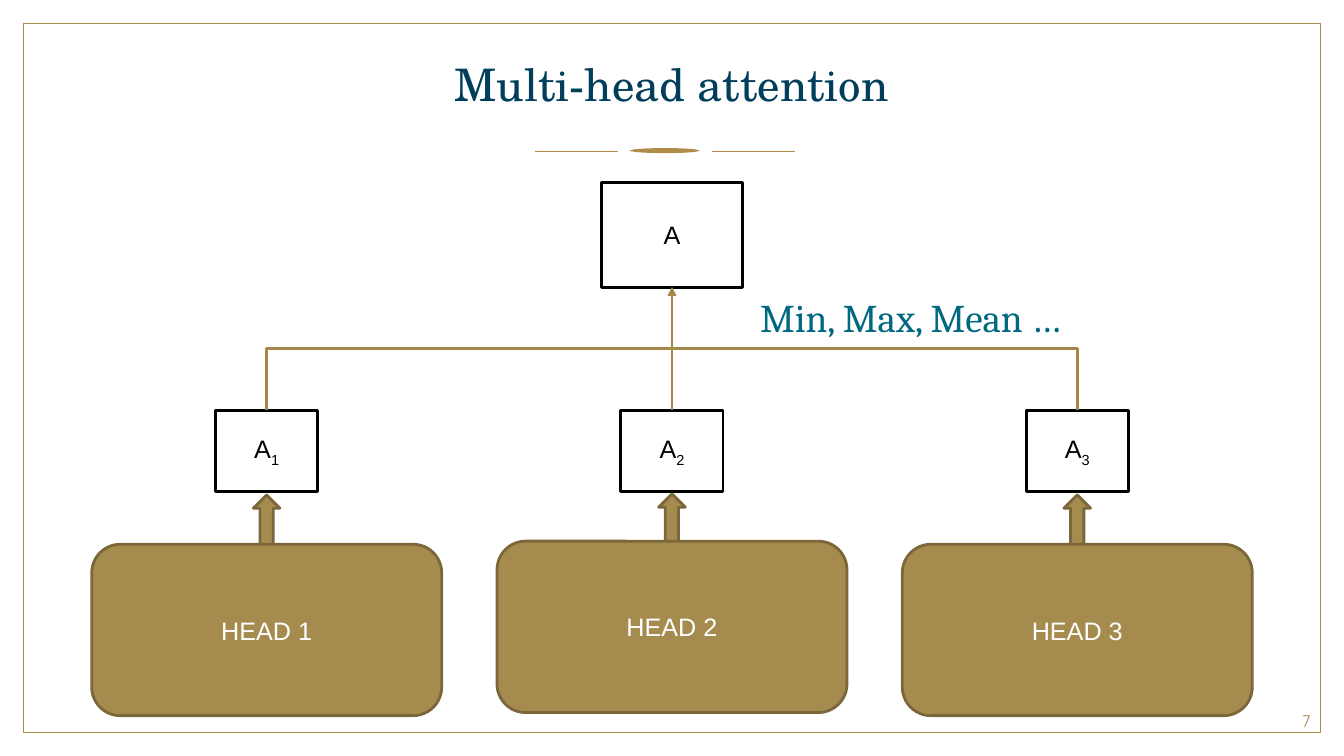
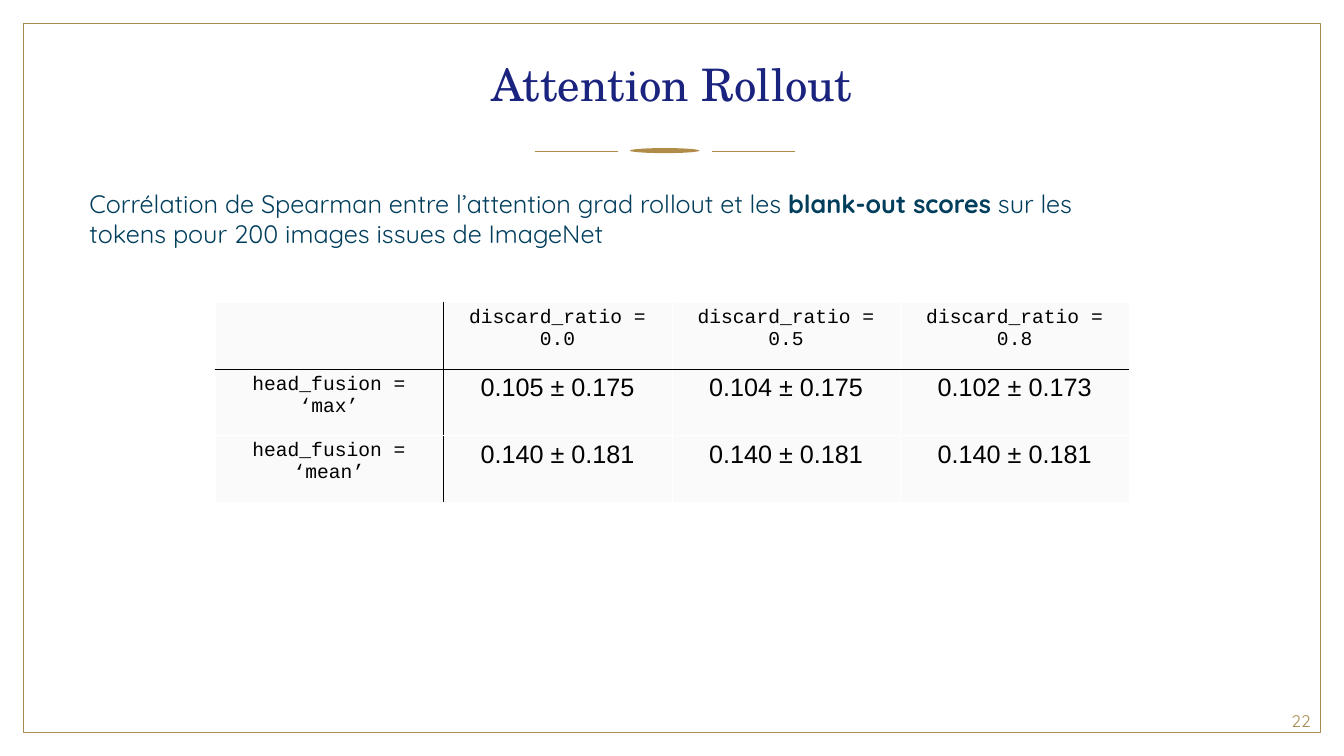
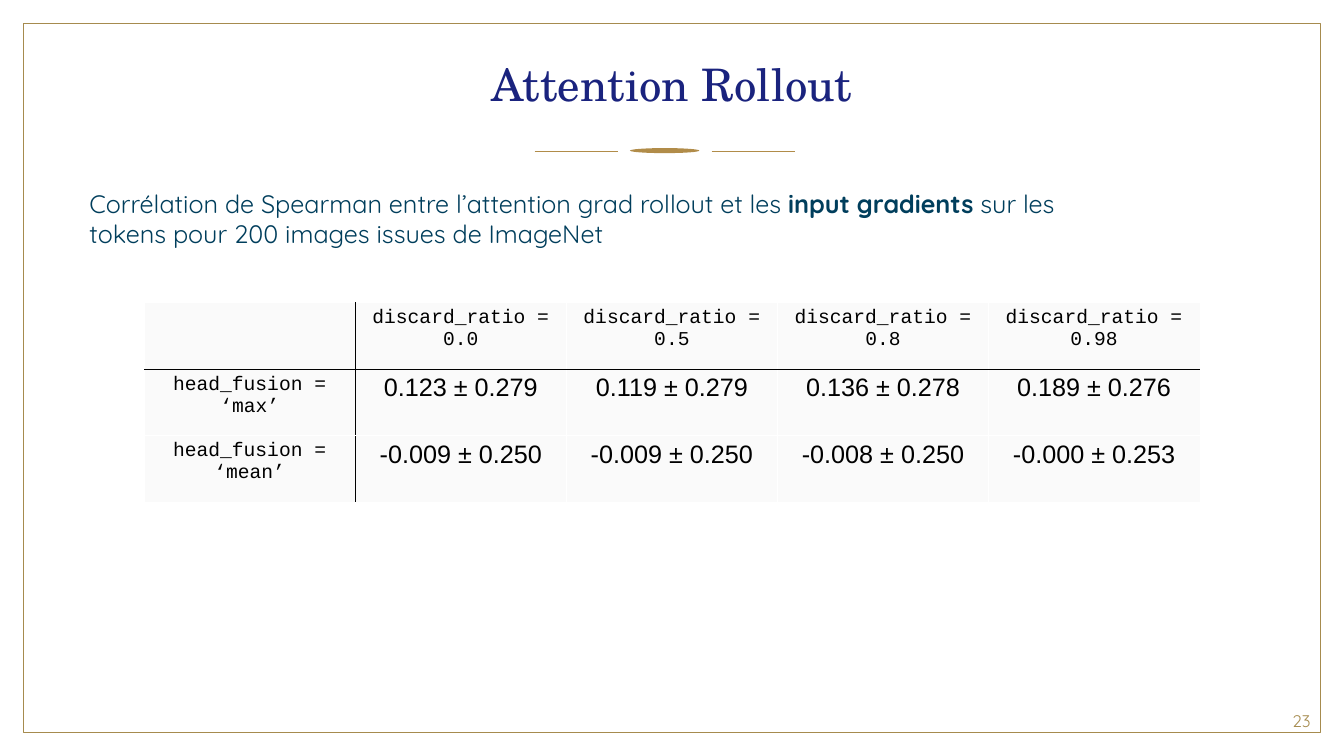
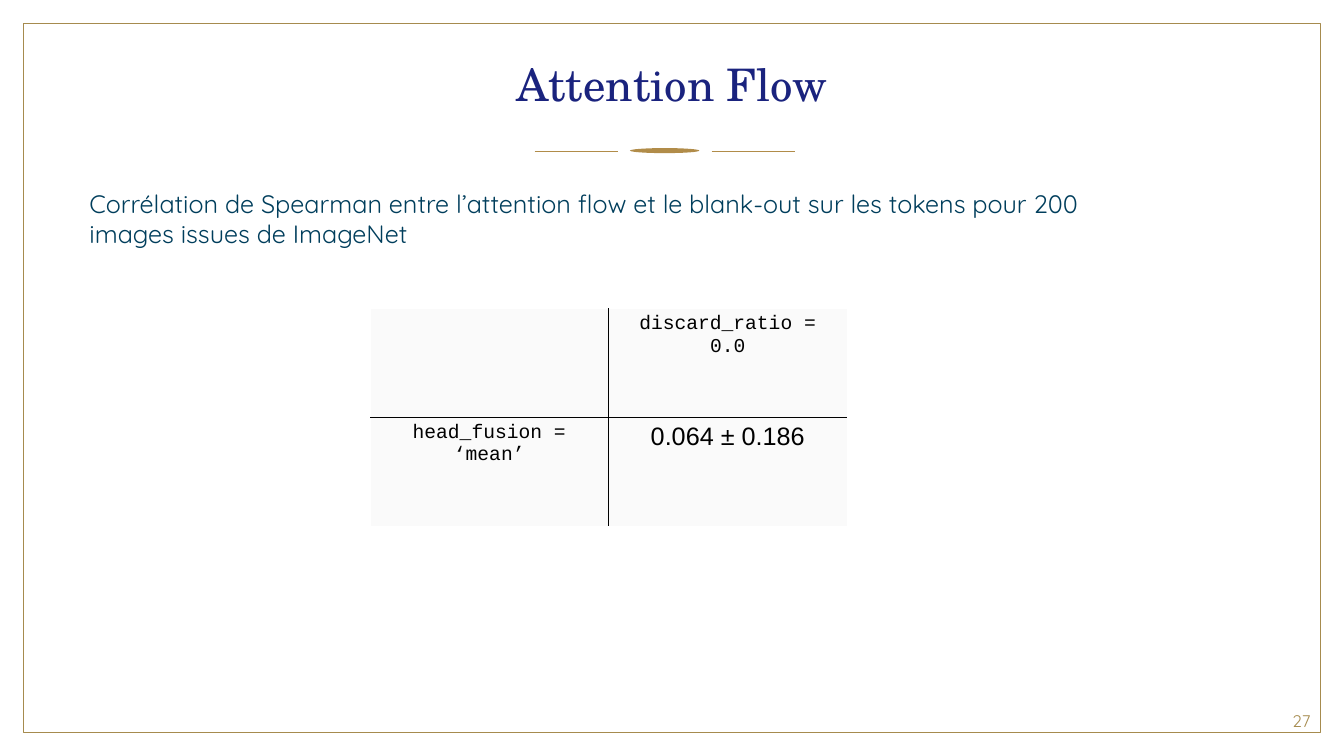
from dataclasses import dataclass
from typing import Optional

from lxml.etree import SubElement
from pptx import Presentation
from pptx.dml.color import RGBColor
from pptx.enum.shapes import MSO_CONNECTOR, MSO_SHAPE
from pptx.enum.text import MSO_ANCHOR, PP_ALIGN
from pptx.oxml.ns import qn
from pptx.oxml.xmlchemy import OxmlElement
from pptx.shapes.autoshape import Shape
from pptx.shapes.connector import Connector
from pptx.slide import Slide
from pptx.table import _Cell
from pptx.text.text import _Run
from pptx.util import Pt


# Theme
@dataclass(frozen=True)
class Theme:
    white: str = "FFFFFF"
    black: str = "000000"
    gold: str = "A68B4E"
    gold_edge: str = "7B673A"
    gold_connector: str = "A4894A"
    gold_ornament: str = "B18C49"
    ink: str = "003E5C"
    navy: str = "1A237E"
    teal: str = "006880"
    cell: str = "FAFAFA"
    title_font: str = "TeX Gyre Schola"
    body_font: str = "Quicksand"
    diagram_font: str = "Arial"
    code_font: str = "Courier New"
    note_font: str = "Cambria"
    title_size: float = 32
    note_size: float = 28
    body_size: float = 18
    code_size: float = 14
    number_size: float = 12
    heavy_line: float = 2
    frame_line: float = 0.75
    ornament_line: float = 0.25
    cell_line: float = 0.06


THEME = Theme()


@dataclass(frozen=True)
class Box:
    left: float
    top: float
    width: float
    height: float

    def lengths(self) -> tuple[Pt, Pt, Pt, Pt]:
        return Pt(self.left), Pt(self.top), Pt(self.width), Pt(self.height)


@dataclass(frozen=True)
class TextStyle:
    font: str
    size: float
    color: str
    align: PP_ALIGN = PP_ALIGN.LEFT
    anchor: MSO_ANCHOR = MSO_ANCHOR.TOP


@dataclass(frozen=True)
class Head:
    number: int
    top: float
    arrow_top: float


@dataclass(frozen=True)
class ResultSlide:
    title: str
    number: int
    statement: tuple[str, ...]  # every second part is bold
    ratios: tuple[str, ...]
    scores: dict[str, tuple[str, ...]]
    table: Box


BODY = TextStyle(THEME.body_font, THEME.body_size, THEME.ink)
NOTE = TextStyle(THEME.note_font, THEME.note_size, THEME.teal)
NUMBER = TextStyle(THEME.body_font, THEME.number_size, THEME.gold,
                   PP_ALIGN.RIGHT, MSO_ANCHOR.MIDDLE)
NODE = TextStyle(THEME.diagram_font, THEME.body_size, THEME.black,
                 PP_ALIGN.CENTER, MSO_ANCHOR.MIDDLE)
HEAD = TextStyle(THEME.diagram_font, THEME.body_size, THEME.white,
                 PP_ALIGN.CENTER, MSO_ANCHOR.MIDDLE)
CODE = TextStyle(THEME.code_font, THEME.code_size, THEME.black, PP_ALIGN.CENTER)
SCORE = TextStyle(THEME.diagram_font, THEME.body_size, THEME.black, PP_ALIGN.CENTER)

HEADS = (Head(1, 388.8, 353.5), Head(2, 386.6, 352.8), Head(3, 388.8, 353.5))
CENTER = 480
HEAD_PITCH = 289.5

RESULTS = (
    ResultSlide(
        "Attention Rollout", 22,
        ("Corrélation de Spearman entre l’attention grad rollout et les ",
         "blank-out scores", " sur les tokens pour 200 images issues de ImageNet"),
        ("0.0", "0.5", "0.8"),
        {"max": ("0.105 ± 0.175", "0.104 ± 0.175", "0.102 ± 0.173"),
         "mean": ("0.140 ± 0.181",) * 3},
        Box(153.4, 216, 653, 142.6)),
    ResultSlide(
        "Attention Rollout", 23,
        ("Corrélation de Spearman entre l’attention grad rollout et les ",
         "input gradients", " sur les tokens pour 200 images issues de ImageNet"),
        ("0.0", "0.5", "0.8", "0.98"),
        {"max": ("0.123 ± 0.279", "0.119 ± 0.279", "0.136 ± 0.278", "0.189 ± 0.276"),
         "mean": ("-0.009 ± 0.250", "-0.009 ± 0.250", "-0.008 ± 0.250",
                  "-0.000 ± 0.253")},
        Box(103, 216, 754, 142.6)),
    ResultSlide(
        "Attention Flow", 27,
        ("Corrélation de Spearman entre l’attention flow et le blank-out sur les "
         "tokens pour 200 images issues de ImageNet",),
        ("0.0",),
        {"mean": ("0.064 ± 0.186",)},
        Box(264.4, 220.4, 340.6, 155.6)),
)


# Drawing helpers
def rgb(color: str) -> RGBColor:
    return RGBColor.from_string(color)


def format_run(run: _Run, style: TextStyle) -> None:
    run.font.name = style.font
    run.font.size = Pt(style.size)
    run.font.color.rgb = rgb(style.color)


def write(holder: Shape | _Cell, text: str, style: TextStyle) -> None:
    holder.text_frame.text = text
    holder.vertical_anchor = style.anchor
    paragraph = holder.text_frame.paragraphs[0]
    paragraph.alignment = style.align
    for run in paragraph.runs:
        format_run(run, style)


def add_text(slide: Slide, box: Box, text: str, style: TextStyle) -> Shape:
    shape = slide.shapes.add_textbox(*box.lengths())
    write(shape, text, style)
    shape.text_frame.word_wrap = True
    shape.text_frame.vertical_anchor = style.anchor
    return shape


def add_block(slide: Slide, kind: MSO_SHAPE, box: Box, fill: str,
              line: Optional[str], width: float = THEME.heavy_line) -> Shape:
    shape = slide.shapes.add_shape(kind, *box.lengths())
    shape.shadow.inherit = False
    shape.fill.solid()
    shape.fill.fore_color.rgb = rgb(fill)
    if line is None:
        shape.line.fill.background()
    else:
        shape.line.color.rgb = rgb(line)
        shape.line.width = Pt(width)
    return shape


def style_connector(connector: Connector, color: str, width: float) -> None:
    connector.line.color.rgb = rgb(color)
    connector.line.width = Pt(width)
    SubElement(connector._element.spPr, qn("a:effectLst"))


def add_node(slide: Slide, box: Box, subscript: str = "") -> Shape:
    node = add_block(slide, MSO_SHAPE.RECTANGLE, box, THEME.white, THEME.black)
    write(node, "A", NODE)
    if subscript:
        run = node.text_frame.paragraphs[0].add_run()
        run.text = subscript
        format_run(run, NODE)
        run.font._element.set("baseline", "-25000")
    return node


def join_upward(slide: Slide, lower: Shape, upper: Shape) -> None:
    """Join the top of lower to the bottom of upper, turning halfway."""
    start_x, start_y = lower.left + lower.width // 2, lower.top
    end_x, end_y = upper.left + upper.width // 2, upper.top + upper.height
    straight = abs(start_x - end_x) < Pt(1)
    kind = MSO_CONNECTOR.STRAIGHT if straight else MSO_CONNECTOR.ELBOW
    connector = slide.shapes.add_connector(kind, start_x, start_y, end_x, end_y)
    connector.begin_connect(lower, 0)
    connector.end_connect(upper, 2)
    if not straight:
        # Turn the elbow a quarter so that it leaves vertically
        rise, run = start_y - end_y, abs(end_x - start_x)
        connector.left = (start_x + end_x - rise) // 2
        connector.top = (start_y + end_y - run) // 2
        connector.width, connector.height = rise, run
        rightward = start_x < end_x
        transform = connector._element.spPr.find(qn("a:xfrm"))
        transform.set("rot", "5400000" if rightward else "16200000")
        transform.set("flipH", "1" if rightward else "0")
        transform.set("flipV", "1")
    style_connector(connector, THEME.gold_connector, THEME.heavy_line)
    line = connector.line._get_or_add_ln()
    SubElement(line, qn("a:tailEnd"), type="triangle")


def set_borders(cell: _Cell, colors: dict[str, str]) -> None:
    properties = cell._tc.get_or_add_tcPr()
    for index, (side, color) in enumerate(colors.items()):
        line = OxmlElement(f"a:ln{side}")
        line.set("w", str(int(Pt(THEME.cell_line))))
        fill = SubElement(line, qn("a:solidFill"))
        SubElement(fill, qn("a:srgbClr"), val=color)
        properties.insert(index, line)


def edge_color(position: int) -> str:
    """Only the edge after the header row or column is black."""
    return THEME.black if position == 1 else THEME.white


# Shared slide parts
def add_base_slide(presentation: Presentation, title: str, number: int,
                   title_color: str) -> Slide:
    slide = presentation.slides.add_slide(presentation.slide_layouts[6])
    add_block(slide, MSO_SHAPE.RECTANGLE, Box(17, 16.8, 926, 506.6),
              THEME.white, THEME.gold, THEME.frame_line)
    add_block(slide, MSO_SHAPE.OVAL, Box(450, 105.8, 49.6, 3.6),
              THEME.gold_ornament, None)
    for left in (381.8, 508.4):
        rule = slide.shapes.add_connector(
            MSO_CONNECTOR.STRAIGHT, Pt(left), Pt(107.8), Pt(left + 59.8), Pt(107.8))
        style_connector(rule, THEME.gold_ornament, THEME.ornament_line)
    add_text(slide, Box(727.2, 500.4, 216, 28.8), str(number), NUMBER)
    title_style = TextStyle(THEME.title_font, THEME.title_size, title_color,
                            PP_ALIGN.CENTER, MSO_ANCHOR.MIDDLE)
    heading = add_text(slide, Box(66, 16.6, 828, 91.4), title, title_style)
    heading.text_frame.paragraphs[0].line_spacing = 0.9
    return slide


# Slide with the diagram of heads
def add_head_slide(presentation: Presentation) -> None:
    slide = add_base_slide(presentation, "Multi-head attention", 7, THEME.ink)
    nodes = []
    for head in HEADS:
        middle = CENTER + (head.number - 2) * HEAD_PITCH
        add_block(slide, MSO_SHAPE.UP_ARROW, Box(middle - 9.5, head.arrow_top, 19, 37.4),
                  THEME.gold, THEME.gold_edge)
        block = add_block(slide, MSO_SHAPE.ROUNDED_RECTANGLE,
                          Box(middle - 125, head.top, 250, 122.4),
                          THEME.gold, THEME.gold_edge)
        write(block, f"HEAD {head.number}", HEAD)
        nodes.append(add_node(slide, Box(middle - 36.5, 293, 73, 58.2), str(head.number)))
    result = add_node(slide, Box(CENTER - 50.5, 130.3, 101, 75))
    for node in nodes:
        join_upward(slide, node, result)
    add_text(slide, Box(535.8, 206, 269.2, 41), "Min, Max, Mean …", NOTE)


# Slides with a table of scores
def add_result_slide(presentation: Presentation, result: ResultSlide) -> None:
    slide = add_base_slide(presentation, result.title, result.number, THEME.navy)
    statement = add_text(slide, Box(56.8, 131, 737.2, 50.6), result.statement[0], BODY)
    for index, part in enumerate(result.statement[1:], start=1):
        run = statement.text_frame.paragraphs[0].add_run()
        run.text = part
        format_run(run, BODY)
        run.font.bold = index % 2 == 1

    rows = [("", *(f"discard_ratio = {ratio}" for ratio in result.ratios))]
    rows += [(f"head_fusion = ‘{fusion}’", *scores)
             for fusion, scores in result.scores.items()]
    table = slide.shapes.add_table(len(rows), len(rows[0]), *result.table.lengths()).table
    table.first_row = table.horz_banding = False
    for row in table.rows:
        row.height = Pt(result.table.height / len(rows))
    for column in table.columns:
        column.width = Pt(result.table.width / len(rows[0]))
    for y, texts in enumerate(rows):
        for x, text in enumerate(texts):
            cell = table.cell(y, x)
            write(cell, text, SCORE if x and y else CODE)
            cell.fill.solid()
            cell.fill.fore_color.rgb = rgb(THEME.cell)
            set_borders(cell, {"L": edge_color(x), "R": edge_color(x + 1),
                               "T": edge_color(y), "B": edge_color(y + 1)})


def main() -> None:
    presentation = Presentation()
    presentation.slide_width, presentation.slide_height = Pt(960), Pt(540)
    add_head_slide(presentation)
    for result in RESULTS:
        add_result_slide(presentation, result)
    presentation.save("out.pptx")


if __name__ == "__main__":
    main()
